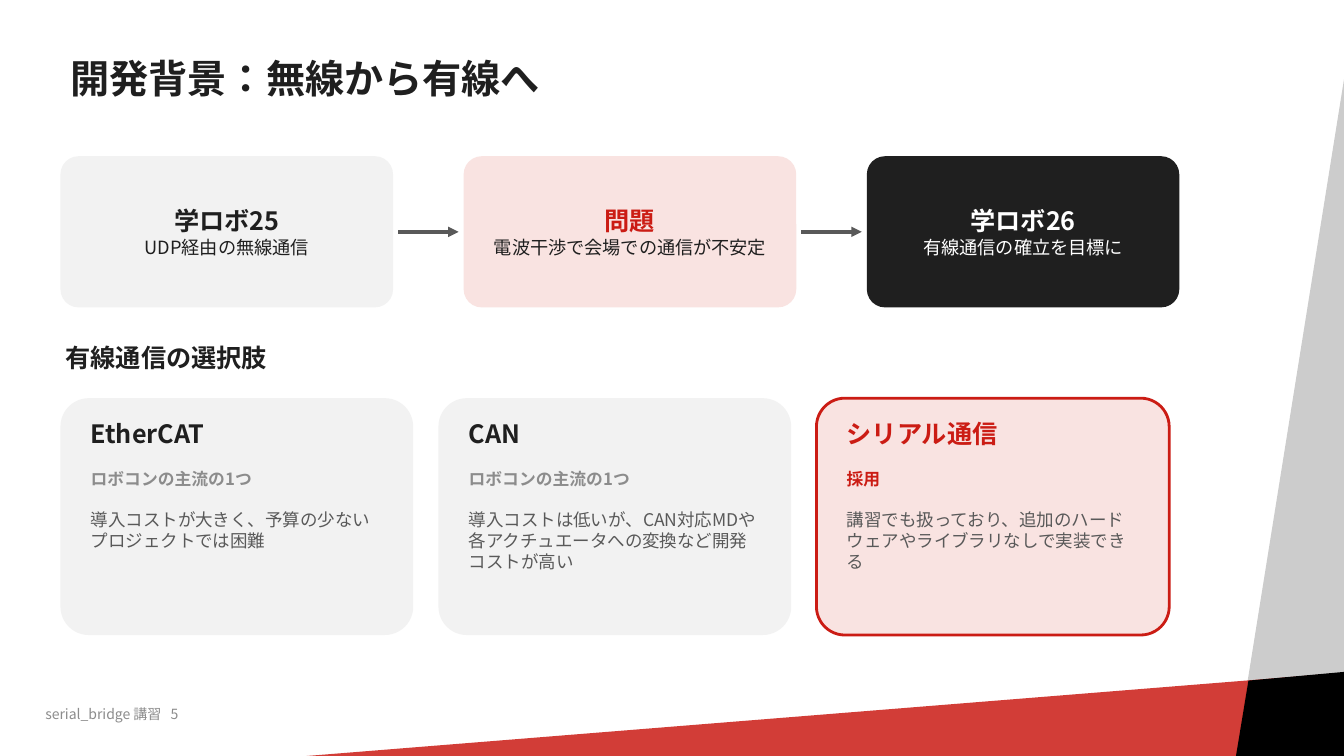
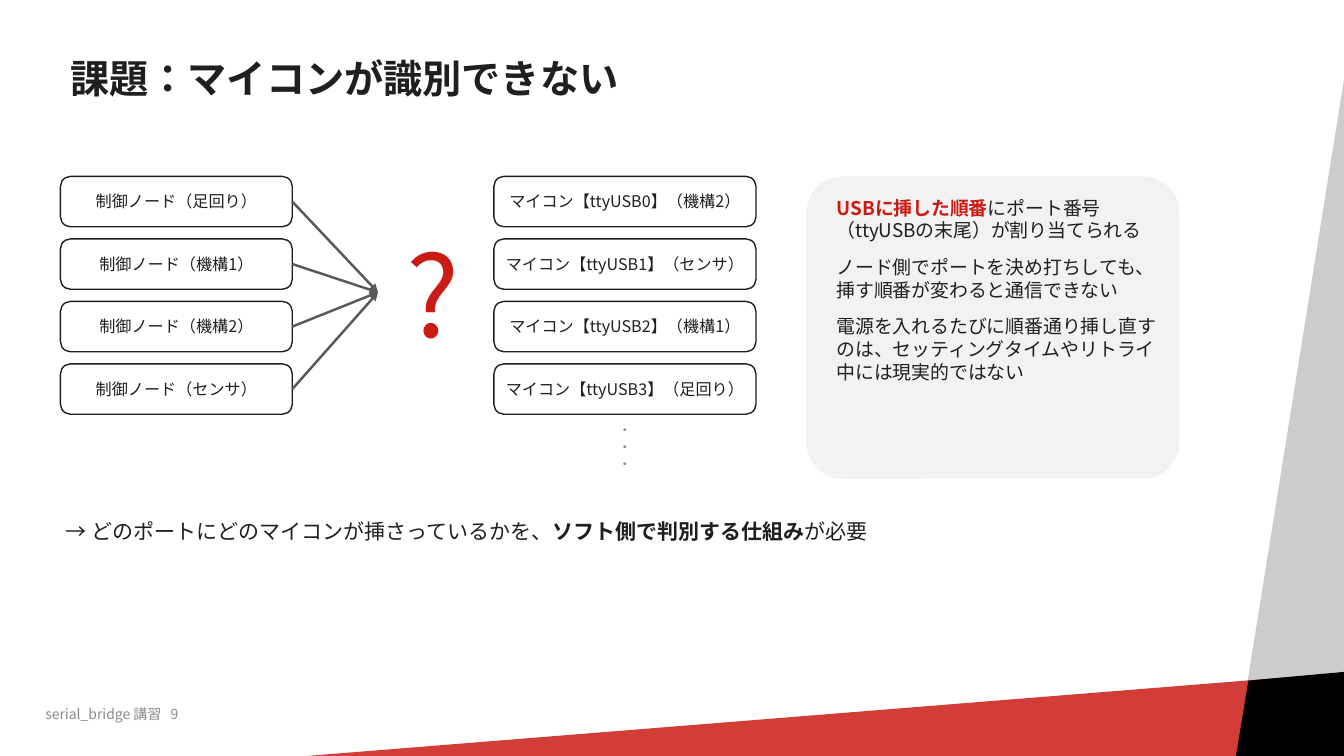
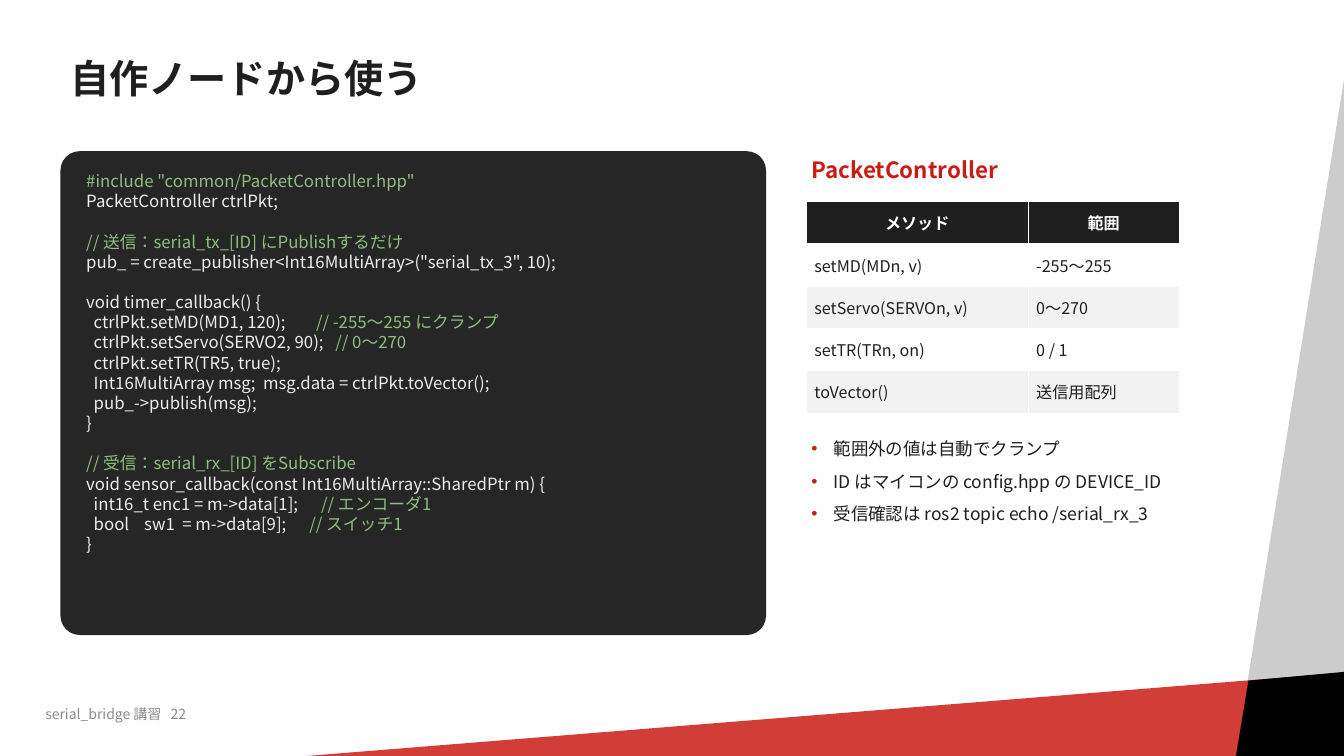
from dataclasses import dataclass
from typing import NamedTuple

from pptx import Presentation
from pptx.dml.color import RGBColor as Rgb
from pptx.enum.lang import MSO_LANGUAGE_ID as Language
from pptx.enum.shapes import MSO_CONNECTOR as Connector, MSO_SHAPE as Shape
from pptx.enum.text import MSO_ANCHOR as Anchor, PP_ALIGN as Align
from pptx.oxml.ns import qn
from pptx.util import Inches, Pt
from lxml.etree import SubElement


@dataclass(frozen=True)
class Theme:
    font: str = "Noto Sans CJK JP"
    bullet_font: str = "Arial"
    ink: str = "1F1F1F"
    body: str = "595959"
    muted: str = "8C8C8C"
    red: str = "CB1C14"
    blush: str = "F9E3E1"
    pale: str = "F2F2F2"
    white: str = "FFFFFF"
    silver: str = "CCCCCC"
    black: str = "000000"
    code_back: str = "262626"
    code_text: str = "EDEDED"
    code_note: str = "8FBF7F"
    title: float = 28
    heading: float = 18
    subheading: float = 16
    lead: float = 15
    panel: float = 13.5
    flow: float = 13
    detail: float = 12.5
    small: float = 12
    label: float = 11.5
    footer: float = 10
    mark: float = 80


T = Theme()
WIDTH, HEIGHT = 40 / 3, 7.5
NO_INSET = (0, 0, 0, 0)
TEXT_INSET = (0.05,) * 4
TITLE_INSET = (0.1, 0.05, 0.1, 0.05)
SHAPE_INSET = (0.08, 0.04, 0.08, 0.04)
CELL_INSET = (0.08, 0.03, 0.08, 0.03)
CODE_INSET = (0.2, 0.14, 0.2, 0.14)


class Box(NamedTuple):
    left: float
    top: float
    width: float
    height: float

    def lengths(self):
        return [Inches(value) for value in self]

    def inner(self, left, top, width, height):
        return Box(self.left + left, self.top + top, width, height)


def assign(target, values):
    for name, value in values.items():
        setattr(target, name, value)


def add_run(paragraph, text, size, color, bold=False):
    run = paragraph.add_run()
    run.text = text
    assign(run.font, {"name": T.font, "size": Pt(size), "bold": bold,
                      "language_id": Language.JAPANESE})
    run.font.color.rgb = Rgb.from_string(color)
    SubElement(run.font._element, qn("a:ea"), typeface=T.font)


def margins(inset):
    sides = ("left", "top", "right", "bottom")
    return {f"margin_{side}": Inches(value) for side, value in zip(sides, inset)}


def write(frame, paragraphs, inset=TEXT_INSET, anchor=Anchor.TOP, **layout):
    assign(frame, {"word_wrap": True, "vertical_anchor": anchor, **margins(inset)})
    for index, runs in enumerate(paragraphs):
        paragraph = frame.paragraphs[0] if index == 0 else frame.add_paragraph()
        assign(paragraph, layout)
        for run in runs:
            add_run(paragraph, *run)


def add_text(slide, box, paragraphs, after=4, **layout):
    frame = slide.shapes.add_textbox(*box.lengths()).text_frame
    write(frame, paragraphs, space_after=Pt(after), **layout)
    return frame


def paint(shape, fill, outline=None, weight=1):
    shape.shadow.inherit = False
    shape.fill.solid()
    shape.fill.fore_color.rgb = Rgb.from_string(fill)
    if outline:
        shape.line.color.rgb = Rgb.from_string(outline)
        shape.line.width = Pt(weight)
    else:
        shape.line.fill.background()


def add_card(slide, box, fill, outline=None, weight=1, corner=0.12):
    card = slide.shapes.add_shape(Shape.ROUNDED_RECTANGLE, *box.lengths())
    card.adjustments[0] = corner
    paint(card, fill, outline, weight)
    return card.text_frame


def add_arrow(slide, start, end, weight):
    ends = [Inches(value) for value in (*start, *end)]
    arrow = slide.shapes.add_connector(Connector.STRAIGHT, *ends)
    arrow.line.color.rgb = Rgb.from_string(T.body)
    arrow.line.width = Pt(weight)
    properties = arrow._element.spPr
    SubElement(properties.find(qn("a:ln")), qn("a:tailEnd"), type="triangle")
    SubElement(properties, qn("a:effectLst"))


def add_band(slide, box, color, rotation, outline=Shape.RECTANGLE):
    band = slide.shapes.add_shape(outline, *box.lengths())
    band.rotation = rotation
    paint(band, color)
    return band


def add_bands(slide):
    add_band(slide, Box(6.29, 6.27, 13.67, 1.57), T.silver, 279.1)
    sweep = add_band(slide, Box(0.59, 7.15, 13.67, 1.15), T.red, 355.4)
    tint = sweep._element.spPr.find(f".//{qn('a:srgbClr')}")
    SubElement(tint, qn("a:alpha"), val="85000")
    crossing = add_band(slide, Box(12.13, 6.69, 1.92, 1.18), T.black, 354.8,
                        Shape.PARALLELOGRAM)
    crossing.adjustments[0] = 0.26


def start_slide(deck, title, number):
    slide = deck.slides.add_slide(deck.slide_layouts[6])
    add_bands(slide)
    add_text(slide, Box(0.6, 0.35, 8.6, 0.9), [[(title, T.title, T.ink, True)]],
             inset=TITLE_INSET, anchor=Anchor.MIDDLE, line_spacing=0.9)
    add_text(slide, Box(0.45, 7, 4, 0.3),
             [[(f"serial_bridge 講習   {number}", T.footer, T.muted)]], inset=NO_INSET)
    return slide


def add_flow(slide, area, stages):
    pitch, gap = 4, 0.05
    middle = area.top + area.height / 2
    for index, (heading, detail, width, fill, accent, color) in enumerate(stages):
        stage = area.inner(index * pitch, 0, width, area.height)
        write(add_card(slide, stage, fill),
              [[(heading, T.heading, accent, True)], [(detail, T.flow, color)]],
              inset=SHAPE_INSET, anchor=Anchor.MIDDLE, alignment=Align.CENTER)
        if index < len(stages) - 1:
            add_arrow(slide, (stage.left + width + gap, middle),
                      (area.left + (index + 1) * pitch - gap, middle), 2.5)


def add_option(slide, box, name, status, reason, adopted):
    if adopted:
        add_card(slide, box, T.blush, T.red, 2)
    else:
        add_card(slide, box, T.pale)
    name_color, status_color = (T.red, T.red) if adopted else (T.ink, T.muted)
    lines = [
        (0.15, 0.5, (name, T.heading, name_color, True)),
        (0.65, 0.4, (status, T.small, status_color, True)),
        (1.05, 1.25, (reason, T.detail, T.body)),
    ]
    for top, height, run in lines:
        add_text(slide, box.inner(0.25, top, box.width - 0.5, height), [[run]])


def build_background(deck):
    slide = start_slide(deck, "開発背景：無線から有線へ", 5)
    add_flow(slide, Box(0.6, 1.55, 11.1, 1.5), [
        ("学ロボ25", "UDP経由の無線通信", 3.3, T.pale, T.ink, T.ink),
        ("問題", "電波干渉で会場での通信が不安定", 3.3, T.blush, T.red, T.ink),
        ("学ロボ26", "有線通信の確立を目標に", 3.1, T.ink, T.white, T.white),
    ])
    add_text(slide, Box(0.6, 3.35, 11, 0.5),
             [[("有線通信の選択肢", T.heading, T.ink, True)]])
    options = [
        ("EtherCAT", "ロボコンの主流の1つ",
         "導入コストが大きく、予算の少ないプロジェクトでは困難", False),
        ("CAN", "ロボコンの主流の1つ",
         "導入コストは低いが、CAN対応MDや各アクチュエータへの変換など開発コストが高い", False),
        ("シリアル通信", "採用",
         "講習でも扱っており、追加のハードウェアやライブラリなしで実装できる", True),
    ]
    for index, option in enumerate(options):
        add_option(slide, Box(0.6 + index * 3.75, 3.95, 3.5, 2.35), *option)


def add_stack(slide, area, labels):
    rows = [area.inner(0, index * 0.62, area.width, 0.5) for index in range(len(labels))]
    for row, label in zip(rows, labels):
        write(add_card(slide, row, T.white, T.ink, corner=0.2),
              [[(label, T.label, T.ink)]],
              inset=SHAPE_INSET, anchor=Anchor.MIDDLE, alignment=Align.CENTER)
    return rows


def add_port_diagram(slide, area):
    nodes = add_stack(slide, area.inner(0, 0, 2.3, area.height),
                      [f"制御ノード（{part}）" for part in ("足回り", "機構1", "機構2", "センサ")])
    boards = area.inner(4.3, 0, 2.6, area.height)
    parts = ("機構2", "センサ", "機構1", "足回り")
    add_stack(slide, boards, [f"マイコン【ttyUSB{port}】（{part}）"
                              for port, part in enumerate(parts)])
    for index in range(3):
        add_text(slide, boards.inner(0, 2.43 + index * 0.17, boards.width, 0.2),
                 [[("・", T.footer, T.muted)]], inset=NO_INSET, alignment=Align.CENTER)
    for node in nodes:
        add_arrow(slide, (node.left + node.width, node.top + node.height / 2),
                  (area.left + 3.15, area.top + 1.15), 1.75)
    add_text(slide, area.inner(3.1, 0.15, 1.2, 2), [[("?", T.mark, T.red)]],
             inset=NO_INSET, anchor=Anchor.MIDDLE, alignment=Align.CENTER)


def add_problem_panel(slide, box):
    add_card(slide, box, T.pale)
    add_text(slide, box.inner(0.25, 0.15, box.width - 0.4, box.height - 0.2), [
        [("USBに挿した順番", T.panel, T.red, True),
         ("にポート番号（ttyUSBの末尾）が割り当てられる", T.panel, T.ink)],
        [("ノード側でポートを決め打ちしても、挿す順番が変わると通信できない", T.panel, T.ink)],
        [("電源を入れるたびに順番通り挿し直すのは、セッティングタイムやリトライ中には現実的ではない",
          T.panel, T.ink)],
    ], after=10)


def build_problem(deck):
    slide = start_slide(deck, "課題：マイコンが識別できない", 9)
    add_port_diagram(slide, Box(0.6, 1.75, 6.9, 3))
    add_problem_panel(slide, Box(8, 1.75, 3.7, 3))
    add_text(slide, Box(0.6, 5.1, 11.1, 0.9), [[
        ("→ どのポートにどのマイコンが挿さっているかを、", T.lead, T.ink),
        ("ソフト側で判別する仕組み", T.lead, T.ink, True),
        ("が必要", T.lead, T.ink),
    ]])


CODE_BLOCKS = [
    """#include "common/PacketController.hpp"
PacketController ctrlPkt;""",
    """// 送信：serial_tx_[ID] にPublishするだけ
pub_ = create_publisher<Int16MultiArray>("serial_tx_3", 10);""",
    """void timer_callback() {
  ctrlPkt.setMD(MD1, 120);        // -255〜255 にクランプ
  ctrlPkt.setServo(SERVO2, 90);   // 0〜270
  ctrlPkt.setTR(TR5, true);
  Int16MultiArray msg;  msg.data = ctrlPkt.toVector();
  pub_->publish(msg);
}""",
    """// 受信：serial_rx_[ID] をSubscribe
void sensor_callback(const Int16MultiArray::SharedPtr m) {
  int16_t enc1 = m->data[1];      // エンコーダ1
  bool    sw1  = m->data[9];      // スイッチ1
}""",
]


def code_runs(line):
    if line.startswith("#"):
        return [(line, T.small, T.code_note)]
    statement, slashes, note = line.partition("//")
    pieces = [(statement, T.small, T.code_text), (slashes + note, T.small, T.code_note)]
    return [piece for piece in pieces if piece[0]]


def add_code(slide, box, blocks):
    frame = add_card(slide, box, T.code_back, corner=0.04)
    lines = [block.split("\n") for block in blocks]
    write(frame, [code_runs(line) for block in lines for line in block],
          inset=CODE_INSET, alignment=Align.LEFT)
    first = 0
    for block in lines[:-1]:
        first += len(block)
        frame.paragraphs[first].space_before = Pt(14.4)


def fill_cell(cell, text, fill, color, header):
    write(cell.text_frame, [[(text, T.label, color, header)]], inset=NO_INSET,
          alignment=Align.CENTER if header else Align.LEFT)
    assign(cell, {"vertical_anchor": Anchor.MIDDLE, **margins(CELL_INSET)})
    properties = cell._tc.get_or_add_tcPr()
    for side in ("lnL", "lnR", "lnT", "lnB"):
        border = SubElement(properties, qn(f"a:{side}"), w=str(Pt(1)))
        SubElement(SubElement(border, qn("a:solidFill")), qn("a:srgbClr"), val=T.white)
    cell.fill.solid()
    cell.fill.fore_color.rgb = Rgb.from_string(fill)


def add_methods(slide, box, rows):
    table = slide.shapes.add_table(len(rows), 2, *box.lengths()).table
    for column, width in zip(table.columns, (2.2, 1.5)):
        column.width = Inches(width)
    for index, row in enumerate(rows):
        header = index == 0
        fill = T.ink if header else (T.pale, T.white)[index % 2]
        for column, text in enumerate(row):
            fill_cell(table.cell(index, column), text, fill,
                      T.white if header else T.ink, header)


def add_bullets(slide, box, items):
    frame = add_text(slide, box, [[(item, T.detail, T.ink)] for item in items], after=8)
    indent = Inches(0.22)
    for paragraph in frame.paragraphs:
        properties = paragraph._p.get_or_add_pPr()
        properties.set("marL", str(indent))
        properties.set("indent", str(-indent))
        SubElement(SubElement(properties, qn("a:buClr")), qn("a:srgbClr"), val=T.red)
        SubElement(properties, qn("a:buFont"), typeface=T.bullet_font)
        SubElement(properties, qn("a:buChar"), char="•")


def build_usage(deck):
    slide = start_slide(deck, "自作ノードから使う", 22)
    add_code(slide, Box(0.6, 1.5, 7, 4.8), CODE_BLOCKS)
    sidebar = Box(8, 1.5, 3.7, 4.8)
    add_text(slide, sidebar.inner(0, 0, sidebar.width, 0.45),
             [[("PacketController", T.subheading, T.red, True)]])
    add_methods(slide, sidebar.inner(0, 0.5, sidebar.width, 2.1), [
        ("メソッド", "範囲"),
        ("setMD(MDn, v)", "-255〜255"),
        ("setServo(SERVOn, v)", "0〜270"),
        ("setTR(TRn, on)", "0 / 1"),
        ("toVector()", "送信用配列"),
    ])
    add_bullets(slide, sidebar.inner(0, 2.8, sidebar.width, 2), [
        "範囲外の値は自動でクランプ",
        "ID はマイコンの config.hpp の DEVICE_ID",
        "受信確認は ros2 topic echo /serial_rx_3",
    ])


def main():
    deck = Presentation()
    assign(deck, {"slide_width": Inches(WIDTH), "slide_height": Inches(HEIGHT)})
    for build in (build_background, build_problem, build_usage):
        build(deck)
    deck.save("out.pptx")


if __name__ == "__main__":
    main()
